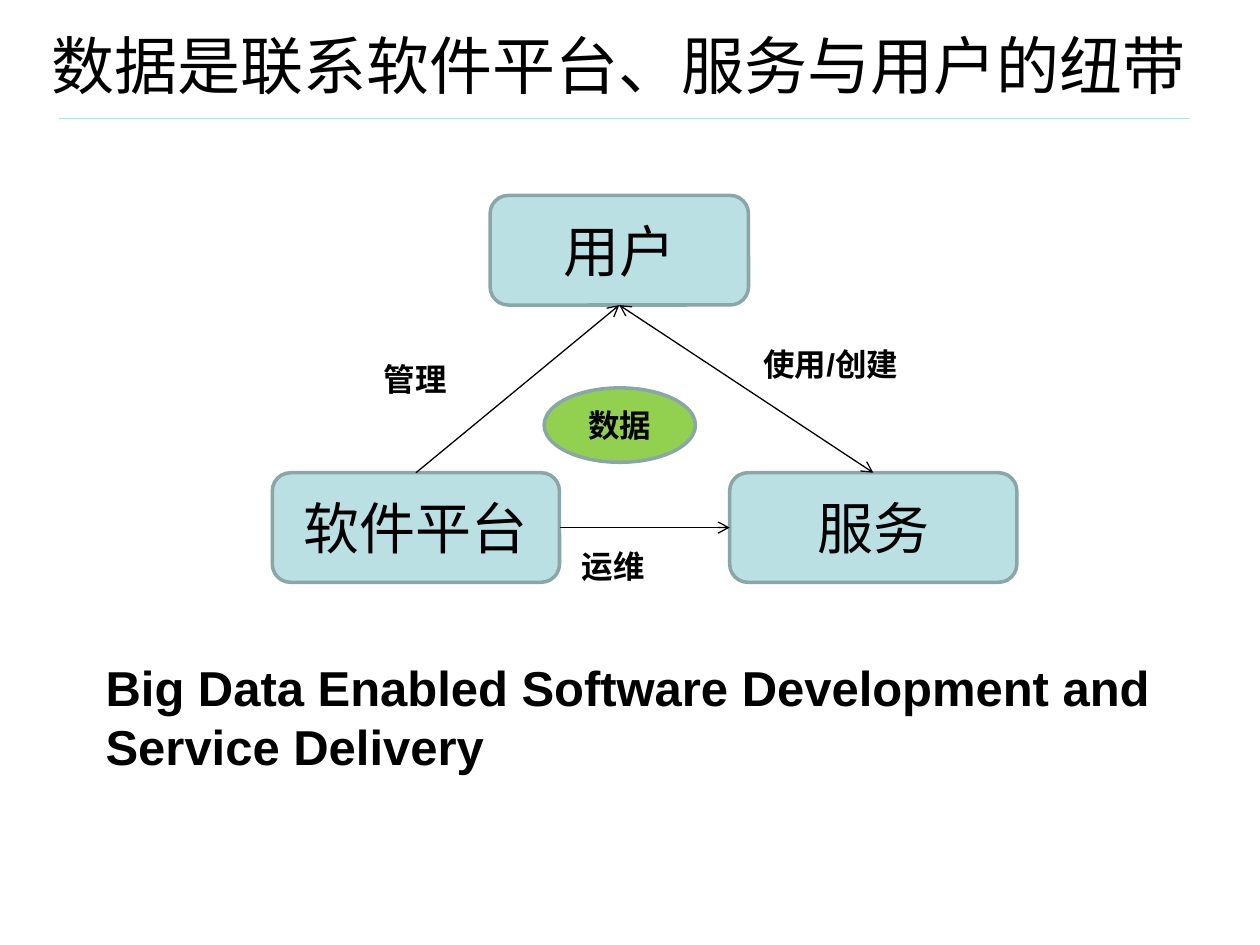
from pptx import Presentation
from pptx.dml.color import RGBColor
from pptx.enum.shapes import MSO_CONNECTOR, MSO_SHAPE
from pptx.enum.text import MSO_ANCHOR, PP_ALIGN
from pptx.oxml.ns import qn
from pptx.util import Cm, Pt
from lxml.etree import SubElement

BLACK, EDGE, RULE = "000000", "8AA6A8", "B6DCDF"
TEAL, GREEN = "BBE0E3", "92D050"
TOP, LEFT, BOTTOM, RIGHT = range(4)


def color(code):
    return RGBColor.from_string(code)


def write(frame, text, size, bold=False, align=PP_ALIGN.LEFT,
          anchor=MSO_ANCHOR.TOP):
    frame.word_wrap = True
    frame.vertical_anchor = anchor
    para = frame.paragraphs[0]
    para.alignment = align
    run = para.add_run()
    run.text = text
    run.font.name = "Arial"
    run.font.size = Pt(size)
    run.font.bold = bold
    run.font.color.rgb = color(BLACK)


def add_text(slide, box, text, size, **style):
    area = slide.shapes.add_textbox(*map(Cm, box))
    write(area.text_frame, text, size, **style)


def add_node(slide, kind, box, text, fill, size, bold=False):
    node = slide.shapes.add_shape(kind, *map(Cm, box))
    node.shadow.inherit = False
    node.fill.solid()
    node.fill.fore_color.rgb = color(fill)
    node.line.color.rgb = color(EDGE)
    node.line.width = Pt(2)
    write(node.text_frame, text, size, bold, PP_ALIGN.CENTER,
          MSO_ANCHOR.MIDDLE)
    return node


def add_line(slide, start, end, code):
    line = slide.shapes.add_connector(
        MSO_CONNECTOR.STRAIGHT, *map(Cm, start + end))
    line.line.color.rgb = color(code)
    line.line.width = Pt(0.75)
    SubElement(line._element.spPr, qn("a:effectLst"))
    return line


def link(slide, source, site, target, goal, ends=("tailEnd",)):
    """Join two nodes at their connection sites, with arrowheads at ends."""
    line = add_line(slide, (0, 0), (0, 0), BLACK)
    line.begin_connect(source, site)
    line.end_connect(target, goal)
    for end in ends:
        SubElement(line.line._get_or_add_ln(), qn(f"a:{end}"), type="arrow")


def add_title(slide, box, text):
    left, top, width, height = box
    rule = top + height - 0.02
    add_line(slide, (left + 0.4, rule), (left + width - 0.9, rule), RULE)
    add_text(slide, box, text, 36, anchor=MSO_ANCHOR.MIDDLE)


def add_diagram(slide, box):
    left, top, width, height = box
    wide, tall = 5.79, 2.21
    base = top + height - tall

    def block(x, y, w, text):
        return add_node(slide, MSO_SHAPE.ROUNDED_RECTANGLE,
                        (x, y, w, tall), text, TEAL, 32)

    platform = block(left, base, wide, "软件平台")
    service = block(left + width - wide, base, wide, "服务")
    user = block(left + 4.39, top, 5.21, "用户")

    link(slide, platform, TOP, user, BOTTOM)
    link(slide, platform, RIGHT, service, LEFT)
    link(slide, user, BOTTOM, service, TOP, ("headEnd", "tailEnd"))

    labels = [("管理", 2.0, 3.2, 2.01),
              ("使用/创建", 9.65, 2.89, 3.73),
              ("运维", 5.99, 6.96, 2.01)]
    for text, x, y, w in labels:
        add_text(slide, (left + x, top + y, w, 1.02), text, 18, bold=True)

    add_node(slide, MSO_SHAPE.OVAL, (left + 5.48, top + 3.88, 3.05, 1.5),
             "数据", GREEN, 18, bold=True)


def main():
    deck = Presentation()
    deck.slide_width, deck.slide_height = Cm(25.4), Cm(19.05)
    slide = deck.slides.add_slide(deck.slide_layouts[6])
    add_title(slide, (0.79, 0.2, 24.1, 2.21),
              "数据是联系软件平台、服务与用户的纽带")
    add_diagram(slide, (5.49, 3.94, 15.01, 7.8))
    add_text(slide, (1.88, 13.13, 23.18, 2.64),
             "Big Data Enabled Software Development and Service Delivery",
             28, bold=True)
    deck.save("out.pptx")


if __name__ == "__main__":
    main()
